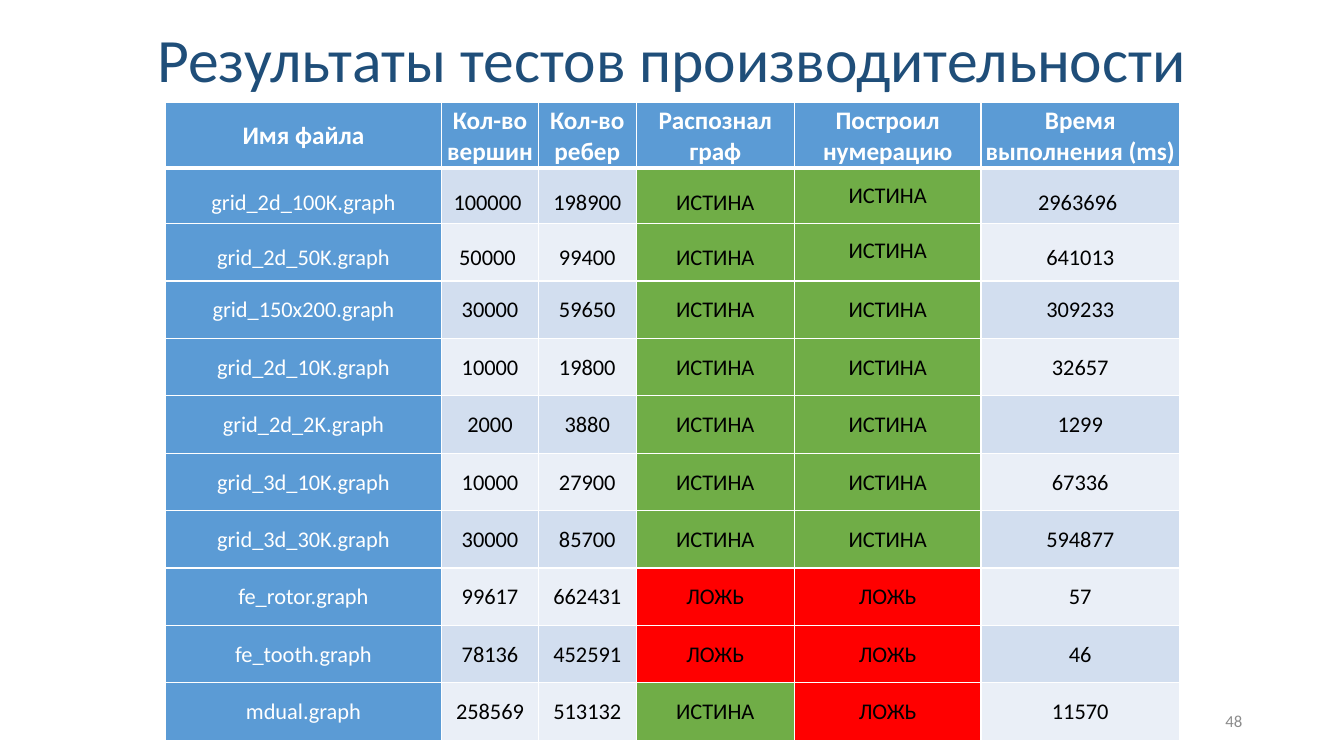
from lxml.etree import SubElement
from pptx import Presentation
from pptx.dml.color import RGBColor
from pptx.enum.text import MSO_ANCHOR as Anchor, PP_ALIGN as Align
from pptx.oxml.ns import qn
from pptx.util import Inches, Pt

WHITE, BLACK, BLUE = "FFFFFF", "000000", "5B9BD5"
BANDS = ["D2DEEF", "EAEFF7"]
VERDICTS = {"ИСТИНА": "70AD47", "ЛОЖЬ": "FF0000"}


def color(value):
    return RGBColor.from_string(value)


def write(frame, text, size, text_color, align, spacing=1.0, bold=False):
    paragraph = frame.paragraphs[0]
    paragraph.alignment = align
    paragraph.line_spacing = spacing
    run = paragraph.add_run()
    run.text = text
    run.font.name = "Calibri"
    run.font.size = Pt(size)
    run.font.bold = bold
    run.font.color.rgb = color(text_color)


presentation = Presentation()
presentation.slide_width = Inches(13.33)
presentation.slide_height = Inches(7.5)
slide = presentation.slides.add_slide(presentation.slide_layouts[6])

results = [
    ["Имя файла", "Кол-во вершин", "Кол-во ребер", "Распознал граф",
     "Построил нумерацию", "Время выполнения (ms)"],
    ["grid_2d_100K.graph", "100000 ", "198900", "ИСТИНА", "ИСТИНА", "2963696\u00a0"],
    ["grid_2d_50K.graph", "50000 ", "99400", "ИСТИНА", "ИСТИНА", "641013"],
    ["grid_150x200.graph", "30000", "59650", "ИСТИНА", "ИСТИНА", "309233"],
    ["grid_2d_10K.graph", "10000", "19800", "ИСТИНА", "ИСТИНА", "32657"],
    ["grid_2d_2K.graph", "2000", "3880", "ИСТИНА", "ИСТИНА", "1299"],
    ["grid_3d_10K.graph", "10000", "27900", "ИСТИНА", "ИСТИНА", "67336"],
    ["grid_3d_30K.graph", "30000", "85700", "ИСТИНА", "ИСТИНА", "594877"],
    ["fe_rotor.graph", "99617", "662431", "ЛОЖЬ", "ЛОЖЬ", "57"],
    ["fe_tooth.graph", "78136", "452591", "ЛОЖЬ", "ЛОЖЬ", "46"],
    ["mdual.graph", "258569", "513132", "ИСТИНА", "ЛОЖЬ", "11570"],
]
column_widths = [2.74, 0.96, 0.97, 1.57, 1.85, 1.97]
row_heights = [0.65, 0.54] + [0.57] * 9

table = slide.shapes.add_table(
    len(results), len(column_widths), Inches(1.64), Inches(1.02),
    Inches(sum(column_widths)), Inches(sum(row_heights))).table
for column, width in zip(table.columns, column_widths):
    column.width = Inches(width)
for row, height in zip(table.rows, row_heights):
    row.height = Inches(height)

for row_index, values in enumerate(results):
    header = row_index == 0
    spaced = row_index in (1, 2)
    for column_index, value in enumerate(values):
        cell = table.cell(row_index, column_index)
        labelled = header or column_index == 0
        side, top, bottom = (0.07, 0.07, 0.07) if spaced else (0.01, 0.01, 0)
        if spaced and column_index == 4:
            top = bottom = 0
        cell.margin_left = cell.margin_right = Inches(side)
        cell.margin_top, cell.margin_bottom = Inches(top), Inches(bottom)
        cell.vertical_anchor = Anchor.TOP if spaced else Anchor.MIDDLE
        write(cell.text_frame, value, 18 if header else 16,
              WHITE if labelled else BLACK, Align.CENTER,
              1.5 if spaced else 1.0, header)

        borders = {"a:lnL": 1, "a:lnR": 1, "a:lnT": 3 if row_index == 1 else 1,
                   "a:lnB": 3 if header else 1}
        properties = cell._tc.get_or_add_tcPr()
        for tag, points in borders.items():
            line = SubElement(properties, qn(tag), w=str(Pt(points)))
            line_fill = SubElement(line, qn("a:solidFill"))
            SubElement(line_fill, qn("a:srgbClr"), val=WHITE)
        band = BANDS[(row_index - 1) % 2]
        cell.fill.solid()
        cell.fill.fore_color.rgb = color(BLUE if labelled else VERDICTS.get(value, band))

labels = [
    (0, 0.22, 13.33, 0.8, "Результаты тестов производительности", 44, "1F4E79", Align.CENTER, 0.9),
    (9.42, 6.95, 3, 0.4, "48", 12, "8C8C8C", Align.RIGHT, 1.0),
]
for left, top, width, height, text, size, text_color, align, spacing in labels:
    frame = slide.shapes.add_textbox(
        Inches(left), Inches(top), Inches(width), Inches(height)).text_frame
    frame.word_wrap = True
    frame.vertical_anchor = Anchor.MIDDLE
    write(frame, text, size, text_color, align, spacing)

presentation.save("out.pptx")
